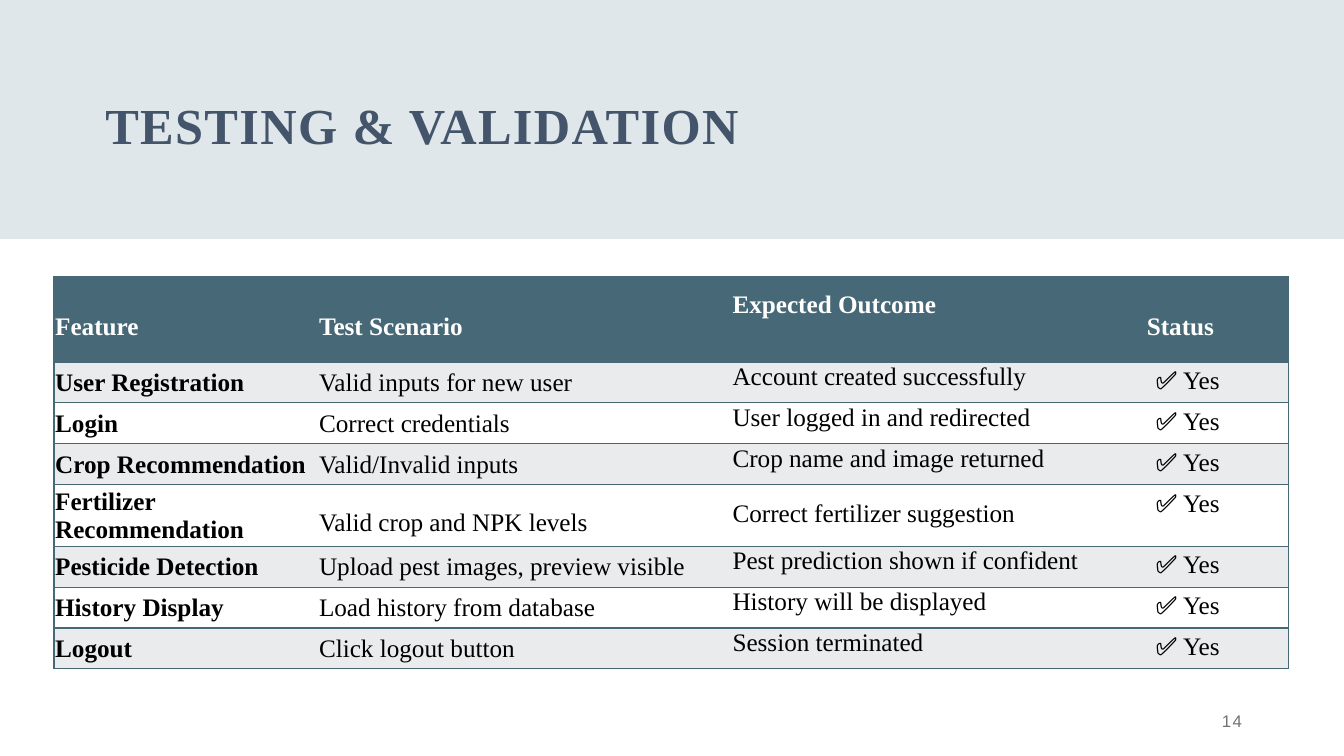
from dataclasses import dataclass
from lxml.etree import SubElement
from pptx import Presentation
from pptx.dml.color import RGBColor as Rgb
from pptx.enum.shapes import MSO_SHAPE as Shape
from pptx.enum.text import MSO_ANCHOR as Anchor, PP_ALIGN as Align
from pptx.oxml.ns import qn
from pptx.util import Cm, Pt

TITLE = "TESTING & VALIDATION"
PAGE_NUMBER = "14"
HEADERS = ("Feature", "Test Scenario", "Expected Outcome", "Status")
TESTS = [
    ("User Registration", "Valid inputs for new user", "Account created successfully"),
    ("Login", "Correct credentials", "User logged in and redirected"),
    ("Crop Recommendation", "Valid/Invalid inputs", "Crop name and image returned"),
    ("Fertilizer Recommendation", "Valid crop and NPK levels", "Correct fertilizer suggestion"),
    ("Pesticide Detection", "Upload pest images, preview visible", "Pest prediction shown if confident"),
    ("History Display", "Load history from database", "History will be displayed"),
    ("Logout", "Click logout button", "Session terminated"),
]
STATUS = "✅ Yes"
TALL_TEST = "Fertilizer Recommendation"
COLUMN_WIDTHS = (6.65, 10.42, 10.44, 3.61)
HEADER_HEIGHT, TEST_HEIGHT = 2.16, 1.03


@dataclass(frozen=True)
class Theme:
    band: str = "D7E2E7"
    title: str = "44546A"
    accent: str = "476977"
    stripe: str = "E9EBEC"
    white: str = "FFFFFF"
    black: str = "000000"
    muted: str = "767171"
    serif: str = "Times New Roman"
    sans: str = "Arial"
    title_size: int = 36
    table_size: int = 18
    number_size: int = 12


THEME = Theme()


def add_span(para, text, font, size, color, bold=False, tracked=False):
    span = para.add_run()
    span.text = text
    span.font.name = font
    span.font.size = Pt(size)
    span.font.bold = bold
    span.font.color.rgb = Rgb.from_string(color)
    if tracked:
        span.font._element.set("spc", "100")


def add_label(page, place, align, anchor):
    box = page.shapes.add_textbox(*map(Cm, place))
    frame = box.text_frame
    frame.word_wrap = True
    frame.vertical_anchor = anchor
    para = frame.paragraphs[0]
    para.alignment = align
    return para


def draw_borders(cell, visible):
    properties = cell._tc.get_or_add_tcPr()
    for side in "LRTB":
        line = SubElement(properties, qn(f"a:ln{side}"), w=str(Pt(1)))
        if side in visible:
            fill = SubElement(line, qn("a:solidFill"))
            SubElement(fill, qn("a:srgbClr"), val=THEME.accent)
        else:
            SubElement(line, qn("a:noFill"))


def fill_cell(cell, text, row, column):
    header, status = row == 0, column == len(HEADERS) - 1
    draw_borders(cell, "TB" + ("L" if column == 0 else "R" if status else ""))
    background = THEME.accent if header else THEME.stripe if row % 2 else THEME.white
    cell.fill.solid()
    cell.fill.fore_color.rgb = Rgb.from_string(background)

    para = cell.text_frame.paragraphs[0]
    if header or not status:
        cell.margin_left = cell.margin_right = cell.margin_top = Cm(0.03)
        cell.margin_bottom = 0
        para.space_after = Pt(10)
    if column < 2 or (header and status):
        cell.vertical_anchor = Anchor.MIDDLE
    tall = not header and TESTS[row - 1][0] == TALL_TEST and column in (1, 2)
    if header or tall:
        para.line_spacing = 1.5
    color = THEME.white if header else THEME.black
    add_span(para, text, THEME.serif, THEME.table_size, color, header or column == 0)


def add_band(page, width):
    band = page.shapes.add_shape(Shape.RECTANGLE, 0, 0, width, Cm(6.02))
    band.shadow.inherit = False
    band.line.fill.background()
    band.fill.solid()
    band.fill.fore_color.rgb = Rgb.from_string(THEME.band)
    color = band._element.spPr.find(qn("a:solidFill")).find(qn("a:srgbClr"))
    SubElement(color, qn("a:alpha"), val="80000")


def add_test_table(page):
    rows = [HEADERS] + [test + (STATUS,) for test in TESTS]
    heights = [HEADER_HEIGHT] + [TEST_HEIGHT] * len(TESTS)
    table = page.shapes.add_table(
        len(rows), len(HEADERS), Cm(1.36), Cm(6.96),
        Cm(sum(COLUMN_WIDTHS)), Cm(sum(heights)),
    ).table
    table.first_row = table.horz_banding = False
    for column, width in zip(table.columns, COLUMN_WIDTHS):
        column.width = Cm(width)
    for row, (texts, height) in enumerate(zip(rows, heights)):
        table.rows[row].height = Cm(height)
        for column, text in enumerate(texts):
            fill_cell(table.cell(row, column), text, row, column)


def main():
    deck = Presentation()
    deck.slide_width, deck.slide_height = Cm(33.87), Cm(19.05)
    page = deck.slides.add_slide(deck.slide_layouts[6])

    add_band(page, deck.slide_width)
    para = add_label(page, (2.34, 2.39, 16.61, 1.65), Align.CENTER, Anchor.BOTTOM)
    para.line_spacing = 0.9
    add_span(para, TITLE, THEME.serif, THEME.title_size, THEME.title, True, True)
    add_test_table(page)
    para = add_label(page, (23.93, 17.65, 7.62, 1.02), Align.RIGHT, Anchor.MIDDLE)
    add_span(para, PAGE_NUMBER, THEME.sans, THEME.number_size, THEME.muted, tracked=True)

    deck.save("out.pptx")


if __name__ == "__main__":
    main()
